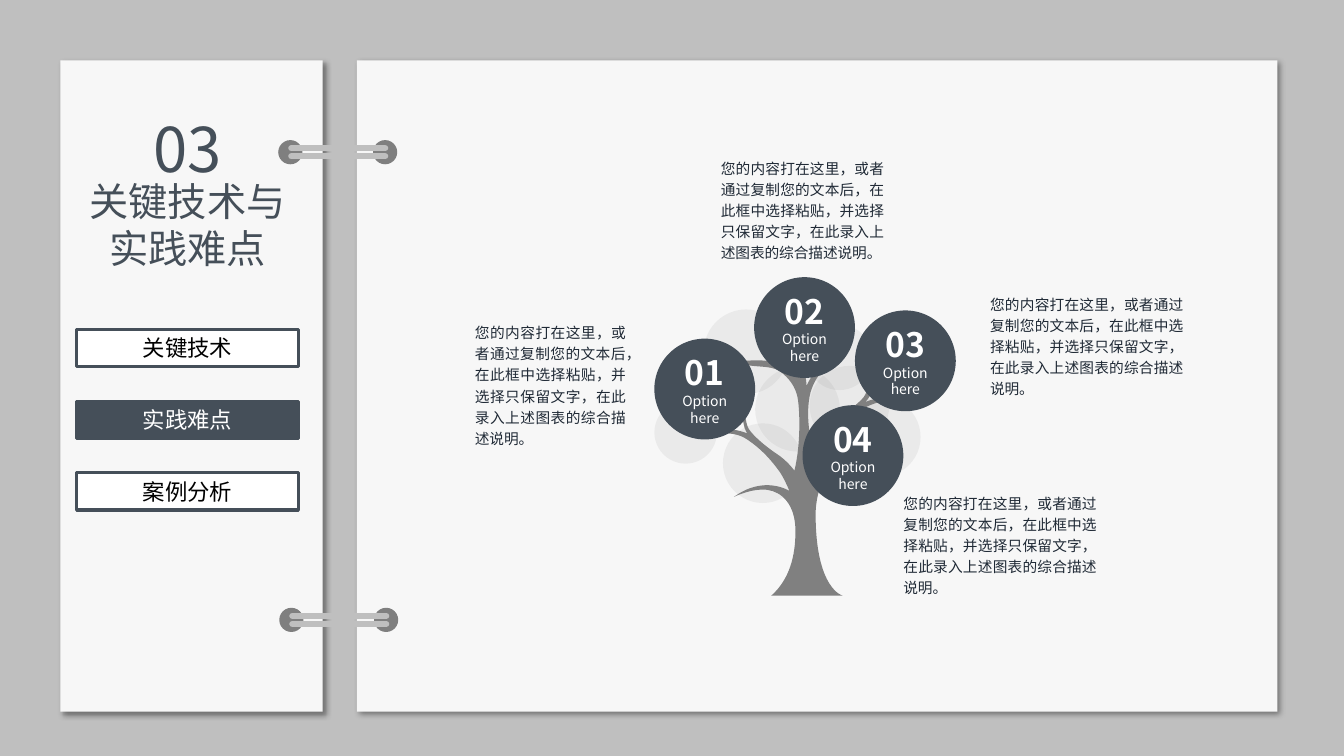
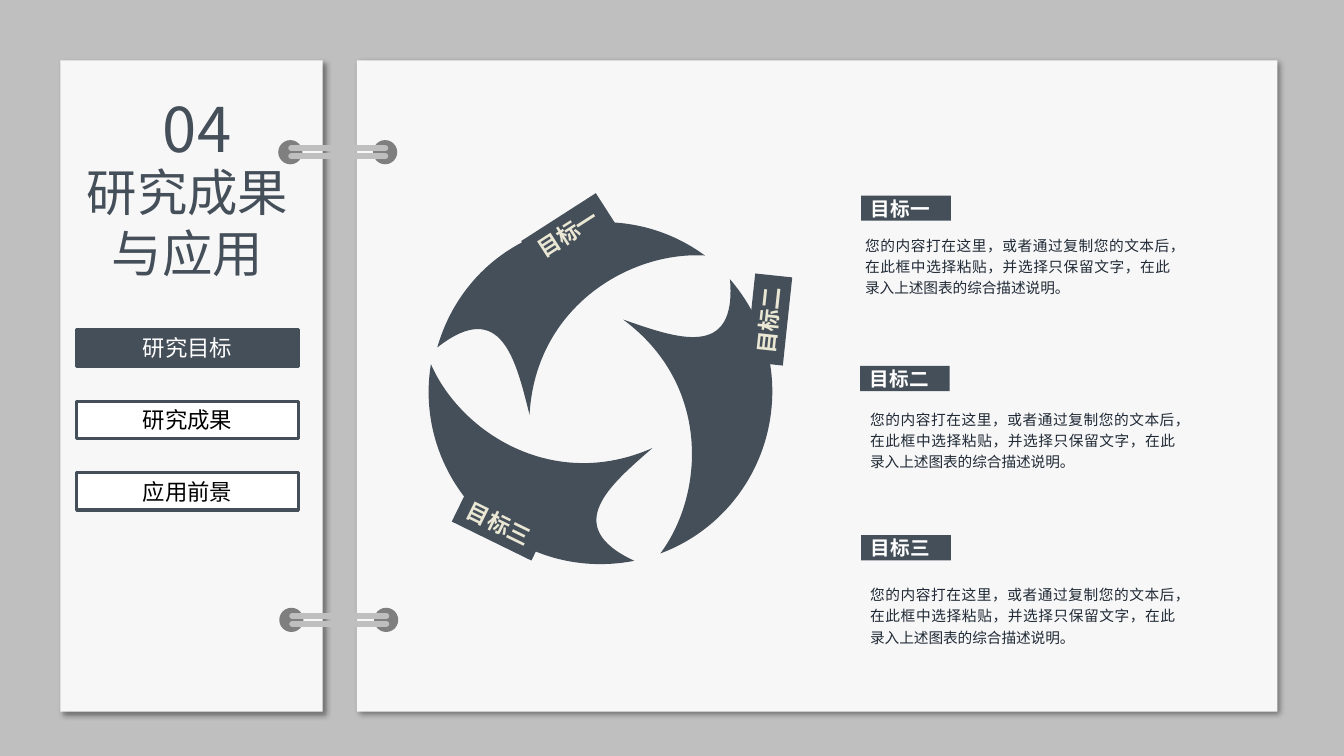
from dataclasses import dataclass

from lxml import etree
from pptx import Presentation
from pptx.dml.color import RGBColor
from pptx.enum import shapes, text
from pptx.oxml import ns
from pptx.util import Inches, Pt


@dataclass(frozen=True)
class Theme:
    font: str = "Noto Sans CJK SC"
    desk: str = "BFBFBF"
    page: str = "F7F7F7"
    hole: str = "7F7F7F"
    tree: str = "808080"
    slate: str = "454F59"
    white: str = "FFFFFF"
    black: str = "000000"
    ink: str = "202A36"
    cream: str = "EAE7D4"
    number: float = 44
    option: float = 24
    menu: float = 16
    heading: float = 14
    body: float = 10.5
    small: float = 10


theme = Theme()
RECT, OVAL = shapes.MSO_SHAPE.RECTANGLE, shapes.MSO_SHAPE.OVAL
CENTER, LEFT, JUSTIFY = text.PP_ALIGN.CENTER, text.PP_ALIGN.LEFT, text.PP_ALIGN.JUSTIFY
MIDDLE, TOP = text.MSO_ANCHOR.MIDDLE, text.MSO_ANCHOR.TOP
GROW, FIXED = text.MSO_AUTO_SIZE.SHAPE_TO_FIT_TEXT, text.MSO_AUTO_SIZE.NONE
DESCRIPTION = "您的内容打在这里，或者通过复制您的文本后，在此框中选择粘贴，并选择只保留文字，在此录入上述图表的综合描述说明。"


def paint(item, fill, line=None):
    item.shadow.inherit = False
    item.fill.solid()
    item.fill.fore_color.rgb = RGBColor.from_string(fill)
    if line:
        item.line.color.rgb = RGBColor.from_string(line)
        item.line.width = Pt(2.25)
    else:
        item.line.fill.background()
    return item


def write(item, lines, align, anchor, margins=(0.1, 0.05), wrap=True, spacing=None, fit=GROW):
    frame = item.text_frame
    frame.word_wrap = wrap
    frame.auto_size = fit
    frame.vertical_anchor = anchor
    frame.margin_left = frame.margin_right = Inches(margins[0])
    frame.margin_top = frame.margin_bottom = Inches(margins[1])
    for index, (words, size, color, bold) in enumerate(lines):
        paragraph = frame.add_paragraph() if index else frame.paragraphs[0]
        paragraph.alignment = align
        if spacing:
            paragraph.line_spacing = spacing
        run = paragraph.add_run()
        run.text = words
        run.font.name = theme.font
        run.font.size = Pt(size)
        run.font.bold = bold
        run.font.color.rgb = RGBColor.from_string(color)
        latin = run.font._element.find(ns.qn("a:latin"))
        latin.addnext(etree.Element(ns.qn("a:ea"), typeface=theme.font))


prs = Presentation()
prs.slide_width, prs.slide_height = Inches(13.33), Inches(7.5)
layout = prs.slide_layouts[5]
layout.background.fill.solid()
layout.background.fill.fore_color.rgb = RGBColor.from_string(theme.desk)

chapters = (
    ("03", "关键技术与实践难点", 28, 1.71, 1.04, (1.38, 1.05), ("关键技术", "实践难点", "案例分析"), 1),
    ("04", "研究成果与应用", 36, 1.55, 1.31, (1.47, 0.85), ("研究目标", "研究成果", "应用前景"), 0),
)
slides = []
for number, heading, size, top, height, corner, menu, active in chapters:
    slide = prs.slides.add_slide(layout)
    slides.append(slide)
    title = slide.shapes.title
    title.left, title.top, title.width, title.height = map(Inches, (0.68, top, 2.36, height))
    write(title, [(heading, size, theme.slate, False)], CENTER, TOP)
    counter = slide.shapes.add_textbox(*map(Inches, (*corner, 0.97, 0.84)))
    write(counter, [(number, theme.number, theme.slate, False)], CENTER, TOP, wrap=False)
    for row, entry in enumerate(menu):
        button = slide.shapes.add_shape(RECT, *map(Inches, (0.76, 3.27 + 0.71 * row, 2.2, 0.37)))
        chosen = row == active
        paint(button, theme.slate if chosen else theme.white, theme.slate)
        color = theme.white if chosen else theme.black
        write(button, [(entry, theme.menu, color, False)], CENTER, TOP)

tree_slide, goal_slide = slides
binder = []
for left, width in ((0.6, 2.6), (3.54, 9.13)):
    page = tree_slide.shapes.add_shape(RECT, *map(Inches, (left, 0.6, width, 6.46)))
    paint(page, theme.page)
    effects = page._element.spPr.find(ns.qn("a:effectLst"))
    shadow = etree.SubElement(effects, ns.qn("a:outerShdw"), blurRad=str(Pt(4)), dist=str(Pt(3)),
                              dir="2700000", algn="tl", rotWithShape="0")
    shade = etree.SubElement(shadow, ns.qn("a:srgbClr"), val=theme.black)
    etree.SubElement(shade, ns.qn("a:alpha"), val="40000")
    binder.append(page)
for left, top in ((2.76, 1.39), (2.77, 6.03)):
    for offset in (0, 0.94):
        hole = tree_slide.shapes.add_shape(OVAL, *map(Inches, (left + offset, top, 0.24, 0.24)))
        binder.append(paint(hole, theme.hole))
    for drop in (0.08, 0.16):
        ends = (left + 0.13, top + drop, left + 1.06, top + drop)
        wire = tree_slide.shapes.add_connector(shapes.MSO_CONNECTOR.STRAIGHT, *map(Inches, ends))
        wire.line.color.rgb = RGBColor.from_string(theme.desk)
        wire.line.width = Pt(4.5)
        wire._element.spPr.find(ns.qn("a:ln")).set("cap", "rnd")
        etree.SubElement(wire._element.spPr, ns.qn("a:effectLst"))
        binder.append(wire)
for position, part in enumerate(binder, start=2):
    layout.shapes._spTree.insert(position, part._element)

leaves = (
    (6.98, 3.07, 0.84), (8, 3.22, 0.65), (7.49, 3.64, 0.84), (8.03, 3.63, 0.79),
    (8.34, 3.94, 0.79), (7.17, 4.2, 0.79), (6.49, 3.98, 0.62),
)
for left, top, size in leaves:
    leaf = tree_slide.shapes.add_shape(OVAL, *map(Inches, (left, top, size, size)))
    paint(leaf, theme.tree)
    tint = leaf._element.spPr.find(ns.qn("a:solidFill"))[0]
    etree.SubElement(tint, ns.qn("a:alpha"), val="10000")

trunk_curves = (
    (8.44, 5.91, 8.36, 5.91, 8.36, 5.91), (8.36, 5.91, 8.09, 5.85, 8.09, 5.1),
    (8.09, 4.79, 8.3, 4.39, 8.54, 4.37), (8.78, 4.35, 8.92, 4.41, 8.92, 4.41),
    (8.92, 4.41, 8.62, 4.21, 8.26, 4.39), (8.26, 4.39, 8.35, 4.2, 8.51, 4.09),
    (8.66, 3.97, 8.89, 3.96, 8.94, 3.96), (8.94, 3.96, 8.77, 3.91, 8.58, 3.99),
    (8.58, 3.99, 8.72, 3.89, 8.62, 3.61), (8.62, 3.61, 8.65, 3.86, 8.55, 3.96),
    (8.45, 4.07, 8.13, 4.25, 8.05, 4.4), (8.05, 4.4, 7.98, 4.12, 8.04, 3.89),
    (8.1, 3.69, 8.24, 3.6, 8.28, 3.59), (8.28, 3.59, 8.09, 3.61, 8, 3.83),
    (8, 3.83, 8, 3.64, 7.88, 3.47), (7.75, 3.31, 7.61, 3.28, 7.57, 3.27),
    (7.57, 3.27, 7.87, 3.38, 7.88, 3.72), (7.88, 3.72, 7.8, 3.62, 7.66, 3.59),
    (7.53, 3.56, 7.4, 3.59, 7.34, 3.57), (7.27, 3.56, 7.19, 3.5, 7.18, 3.47),
    (7.18, 3.47, 7.22, 3.56, 7.36, 3.61), (7.49, 3.65, 7.63, 3.62, 7.73, 3.68),
    (7.83, 3.75, 7.89, 3.84, 7.91, 3.94), (7.93, 4.03, 7.95, 4.38, 7.88, 4.67),
    (7.88, 4.67, 7.81, 4.57, 7.7, 4.5), (7.58, 4.42, 7.47, 4.32, 7.43, 4.26),
    (7.39, 4.2, 7.38, 4.04, 7.39, 3.96), (7.39, 3.96, 7.33, 4.17, 7.41, 4.3),
    (7.41, 4.3, 7.21, 4.2, 6.98, 4.32), (6.98, 4.32, 7.26, 4.25, 7.41, 4.36),
    (7.58, 4.47, 7.69, 4.62, 7.74, 4.69), (7.79, 4.77, 7.83, 4.87, 7.83, 4.87),
    (7.83, 4.87, 7.58, 4.71, 7.28, 4.93), (7.28, 4.93, 7.46, 4.84, 7.61, 4.86),
    (7.76, 4.88, 7.89, 5.01, 7.89, 5.27), (7.89, 5.52, 7.83, 5.75, 7.65, 5.91),
)
blade_curves = (
    (7.5, 3.07, 7.66, 3.46, 7.66, 3.88), (7.66, 4.62, 7.2, 5.25, 6.55, 5.49),
    (6.99, 4.9, 7.05, 3.81, 6.18, 3.17), (6.7, 3.35, 7.31, 3.58, 7.24, 2.77),
)
outlines = (
    (tree_slide, trunk_curves, theme.tree, 6.98, 3.27, 0),
    (goal_slide, blade_curves, theme.slate, 6.18, 2.77, 0),
    (goal_slide, blade_curves, theme.slate, 4.91, 1.61, 236.8),
    (goal_slide, blade_curves, theme.slate, 4.53, 3.25, 119.8),
)
for slide, curves, color, left, top, turn in outlines:
    corners = [tuple(map(Inches, curve[-2:])) for curve in curves]
    builder = slide.shapes.build_freeform(*corners[-1])
    builder.add_line_segments(corners, close=True)
    outline = paint(builder.convert_to_shape(), color)
    segments = list(outline._element.iter(ns.qn("a:lnTo")))
    for segment, curve in zip(segments, curves):
        bend = etree.Element(ns.qn("a:cubicBezTo"))
        for x, y in zip(curve[::2], curve[1::2]):
            etree.SubElement(bend, ns.qn("a:pt"), x=str(Inches(x) - outline.left), y=str(Inches(y) - outline.top))
        segment.getparent().replace(segment, bend)
    outline.left, outline.top, outline.rotation = Inches(left), Inches(top), turn

options = ((6.49, 3.36), (7.48, 2.75), (8.48, 3.08), (7.96, 4.02))
for order, (left, top) in enumerate(options, start=1):
    fruit = tree_slide.shapes.add_shape(OVAL, *map(Inches, (left, top, 1, 1)))
    paint(fruit, theme.slate)
    lines = [(f"{order:02}", theme.option, theme.white, True),
             ("Option here", theme.small, theme.white, False)]
    write(fruit, lines, CENTER, MIDDLE, margins=(0, 0), fit=FIXED)

goals = (
    ("目标一", 5, 2.6, 327.3, 8.54, 1.94),
    ("目标二", 6.82, 3.86, 276.1, 8.53, 3.63),
    ("目标三", 4.68, 4.63, 26.1, 8.54, 5.31),
)
for goal, tag_left, tag_top, turn, left, top in goals:
    tag = goal_slide.shapes.add_shape(RECT, *map(Inches, (tag_left, tag_top, 0.88, 0.37)))
    paint(tag, theme.slate).rotation = turn
    tag._element.spPr.find(ns.qn("a:xfrm")).set("flipH", "1")
    write(tag, [(goal, theme.menu, theme.cream, True)], LEFT, TOP, wrap=False)
    banner = goal_slide.shapes.add_shape(RECT, *map(Inches, (left, top, 0.89, 0.25)))
    paint(banner, theme.slate)
    write(banner, [(goal, theme.heading, theme.white, True)], LEFT, MIDDLE, fit=FIXED)

descriptions = (
    (tree_slide, 4.62, 3.14, 1.68, 1.36), (tree_slide, 7.06, 1.51, 1.8, 1.15),
    (tree_slide, 9.73, 2.86, 2.1, 1.15), (tree_slide, 8.87, 4.83, 2.1, 1.15),
    (goal_slide, 8.49, 2.27, 3.21, 0.73), (goal_slide, 8.54, 4, 3.21, 0.73),
    (goal_slide, 8.54, 5.74, 3.21, 0.73),
)
for slide, *place in descriptions:
    note = slide.shapes.add_textbox(*map(Inches, place))
    write(note, [(DESCRIPTION, theme.body, theme.ink, False)], JUSTIFY, TOP, margins=(0.09, 0.04), spacing=1.2)

prs.save("out.pptx")
